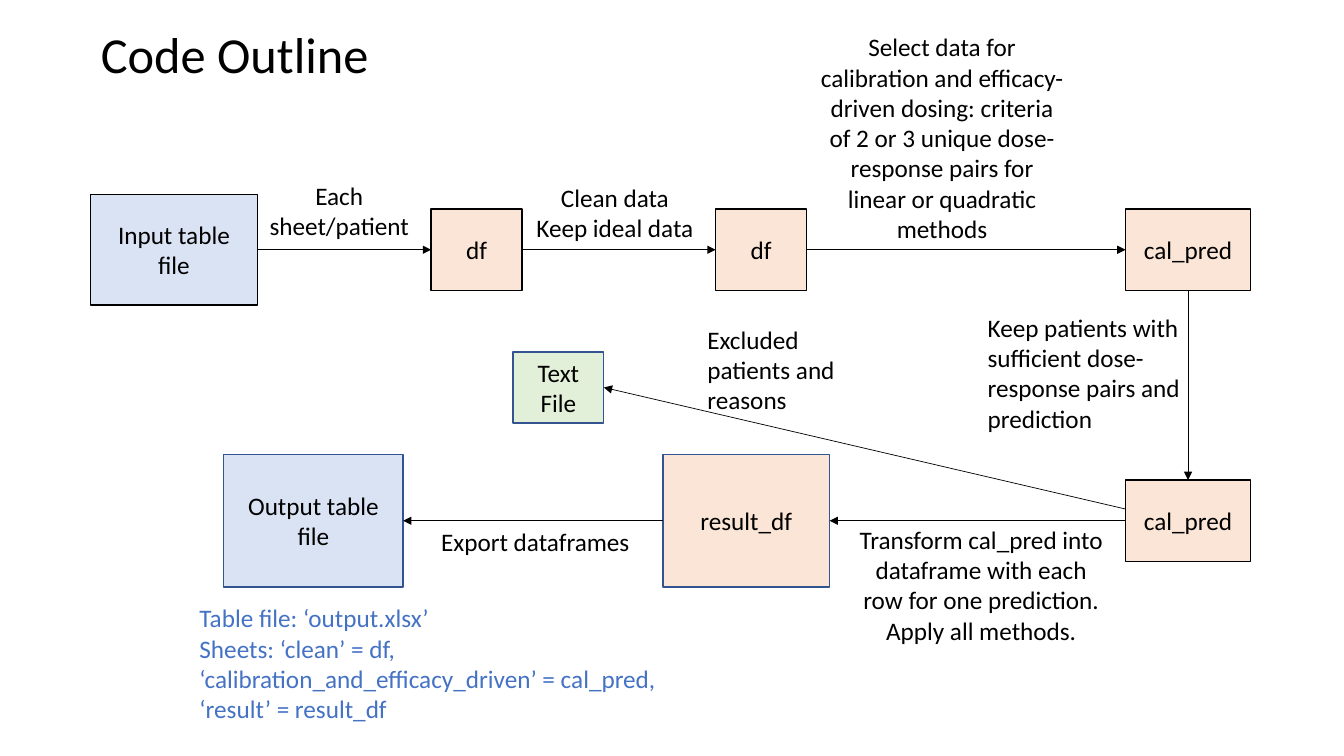
from dataclasses import dataclass

from lxml.etree import SubElement
from pptx import Presentation
from pptx.dml.color import RGBColor
from pptx.enum.shapes import MSO_CONNECTOR, MSO_SHAPE
from pptx.enum.text import MSO_ANCHOR, MSO_AUTO_SIZE, PP_ALIGN
from pptx.oxml.ns import qn
from pptx.util import Pt


@dataclass(frozen=True)
class Theme:
    font: str = "Calibri"
    body_size: int = 18
    title_size: int = 36
    ink: str = "000000"
    note: str = "4472C4"
    edge: str = "325491"
    file: str = "DAE3F3"
    data: str = "FBE5D6"
    log: str = "E2F0D9"
    box_line: float = 1
    arrow_line: float = 0.5


THEME = Theme()
SLIDE_WIDTH, SLIDE_HEIGHT = 960, 540
TOP_ROW, LOG_ROW, BOTTOM_ROW = 178.4, 276.8, 372
SMALL = (64.8, 58.3)
MEDIUM = (89.3, 58.3)

TITLE = ("Code Outline", (64.8, 13, 207.4, 51))

# key: (wording, left, row centre, (width, height), fill, edge)
BOXES = {
    "input": ("Input table file", 64.8, TOP_ROW, (119, 79.2), THEME.file, THEME.ink),
    "raw": ("df", 308, TOP_ROW, SMALL, THEME.data, THEME.ink),
    "clean": ("df", 511.2, TOP_ROW, SMALL, THEME.data, THEME.ink),
    "selected": ("cal_pred", 804, TOP_ROW, MEDIUM, THEME.data, THEME.ink),
    "predicted": ("cal_pred", 804, BOTTOM_ROW, MEDIUM, THEME.data, THEME.ink),
    "result": ("result_df", 473.6, BOTTOM_ROW, (119, 94.5), THEME.data, THEME.edge),
    "output": ("Output table file", 159.8, BOTTOM_ROW, (128.2, 94.5), THEME.file, THEME.edge),
    "excluded": ("Text File", 366.5, LOG_ROW, (64.8, 51), THEME.log, THEME.edge),
}

TOP, LEFT, BOTTOM, RIGHT = range(4)  # connection sites of a rectangle
# (from box, site, to box, site, vertical shift of the start)
ARROWS = [
    ("input", RIGHT, "raw", LEFT, 0),
    ("raw", RIGHT, "clean", LEFT, 0),
    ("clean", RIGHT, "selected", LEFT, 0),
    ("selected", BOTTOM, "predicted", TOP, 0),
    ("predicted", LEFT, "result", RIGHT, 0),
    ("result", LEFT, "output", RIGHT, 0),
    ("predicted", LEFT, "excluded", RIGHT, -8.4),
]

CENTER, FLUSH = PP_ALIGN.CENTER, PP_ALIGN.LEFT
# (paragraphs, (left, top, width, height), alignment, colour, wrap)
LABELS = [
    (["Each sheet/patient"], (179.3, 125.3, 126, 51), CENTER, THEME.ink, True),
    (["Clean data", "Keep ideal data"], (375.1, 126.7, 128.2, 51), CENTER, THEME.ink, False),
    (["Select data for calibration and efficacy-driven dosing: criteria of 2 or 3 "
      "unique dose-response pairs for linear or quadratic methods"],
     (578.2, 19.2, 189.4, 160), CENTER, THEME.ink, True),
    (["Keep patients with sufficient dose-response pairs and prediction"],
     (698.4, 219.4, 158.4, 94.5), FLUSH, THEME.ink, True),
    (["Excluded patients and reasons"], (498.2, 228, 106.6, 72.7), FLUSH, THEME.ink, True),
    (["Transform cal_pred into dataframe with each row for one prediction. "
      "Apply all methods."], (604.8, 371, 192.2, 94.5), CENTER, THEME.ink, True),
    (["Export dataframes"], (308, 372.2, 150.5, 29), FLUSH, THEME.ink, False),
    (["Table file: ‘output.xlsx’",
      "Sheets: ‘clean’ = df, ‘calibration_and_efficacy_driven’ = cal_pred, "
      "‘result’ = result_df"], (135.4, 427, 345.6, 94.5), FLUSH, THEME.note, True),
]


def write(frame, paragraphs, size=THEME.body_size, color=THEME.ink, align=FLUSH,
          anchor=MSO_ANCHOR.TOP, wrap=True, fit=MSO_AUTO_SIZE.NONE):
    frame.text = "\n".join(paragraphs)
    frame.word_wrap = wrap
    frame.auto_size = fit
    frame.vertical_anchor = anchor
    for paragraph in frame.paragraphs:
        paragraph.alignment = align
        font = paragraph.runs[0].font
        font.name = THEME.font
        font.size = Pt(size)
        font.color.rgb = RGBColor.from_string(color)


def add_box(slide, wording, left, row, size, fill, edge):
    width, height = size
    box = slide.shapes.add_shape(MSO_SHAPE.RECTANGLE, Pt(left), Pt(row - height / 2),
                                 Pt(width), Pt(height))
    box.shadow.inherit = False
    box.fill.solid()
    box.fill.fore_color.rgb = RGBColor.from_string(fill)
    box.line.color.rgb = RGBColor.from_string(edge)
    box.line.width = Pt(THEME.box_line)
    write(box.text_frame, [wording], align=CENTER, anchor=MSO_ANCHOR.MIDDLE)
    return box


def add_arrow(slide, start, start_site, end, end_site, shift):
    arrow = slide.shapes.add_connector(MSO_CONNECTOR.STRAIGHT, 0, 0, 0, 0)
    arrow.begin_connect(start, start_site)
    arrow.end_connect(end, end_site)
    arrow.begin_y += Pt(shift)
    arrow.line.color.rgb = RGBColor.from_string(THEME.ink)
    arrow.line.width = Pt(THEME.arrow_line)
    SubElement(arrow.line._get_or_add_ln(), qn("a:tailEnd"), type="triangle")
    SubElement(arrow._element.spPr, qn("a:effectLst"))


def main():
    deck = Presentation()
    deck.slide_width, deck.slide_height = Pt(SLIDE_WIDTH), Pt(SLIDE_HEIGHT)
    slide = deck.slides.add_slide(deck.slide_layouts[5])

    heading, place = TITLE
    title = slide.shapes.title
    title.left, title.top, title.width, title.height = map(Pt, place)
    write(title.text_frame, [heading], size=THEME.title_size, wrap=False)

    boxes = {key: add_box(slide, *box) for key, box in BOXES.items()}
    for start, start_site, end, end_site, shift in ARROWS:
        add_arrow(slide, boxes[start], start_site, boxes[end], end_site, shift)
    for paragraphs, place, align, color, wrap in LABELS:
        label = slide.shapes.add_textbox(*map(Pt, place))
        write(label.text_frame, paragraphs, color=color, align=align, wrap=wrap,
              fit=MSO_AUTO_SIZE.SHAPE_TO_FIT_TEXT)

    deck.save("out.pptx")


if __name__ == "__main__":
    main()
